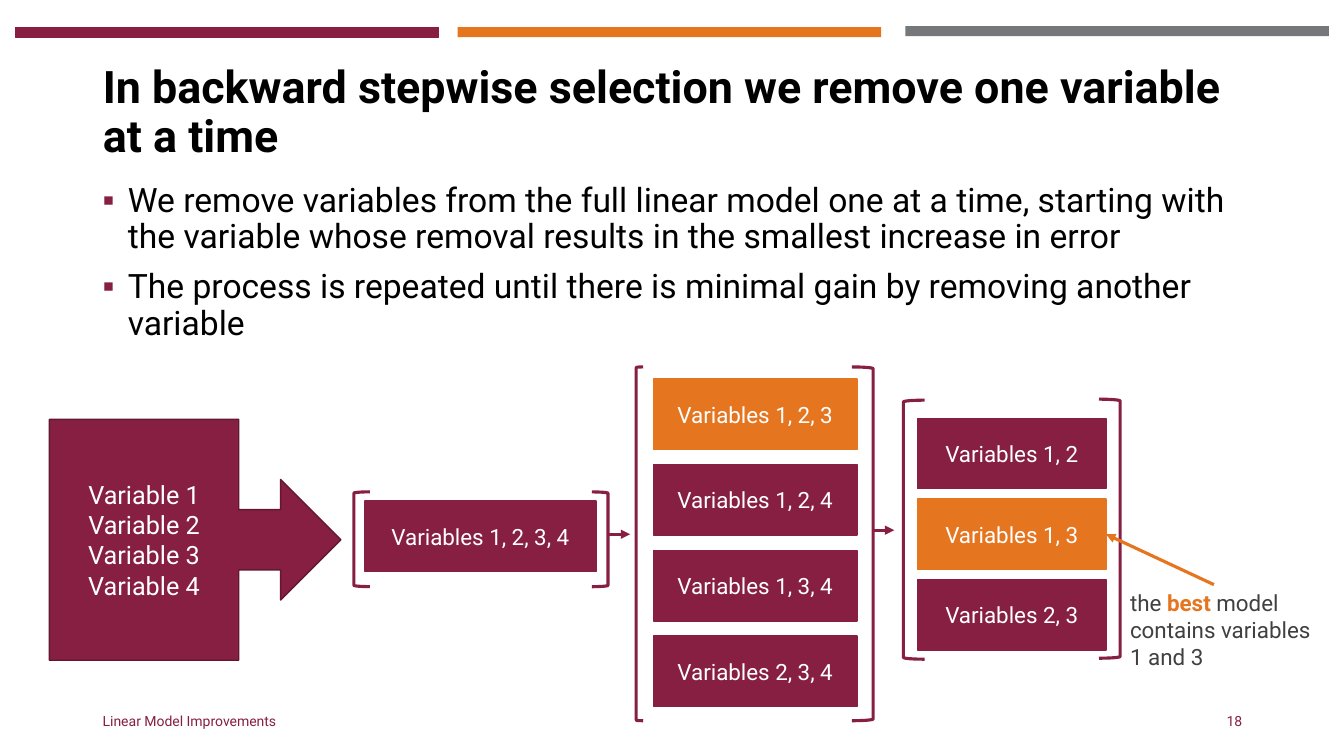
from dataclasses import dataclass

from lxml import etree
from pptx import Presentation
from pptx.dml.color import RGBColor
from pptx.enum.shapes import MSO_CONNECTOR, MSO_SHAPE
from pptx.enum.text import MSO_ANCHOR, MSO_AUTO_SIZE, PP_ALIGN
from pptx.oxml.ns import qn
from pptx.util import Inches, Pt


@dataclass(frozen=True)
class Theme:
    """Colours, font and type sizes of the deck."""
    maroon: str = "861F41"
    dark_maroon: str = "631730"
    orange: str = "E5751F"
    grey: str = "75787B"
    note: str = "404040"
    black: str = "000000"
    white: str = "FFFFFF"
    font: str = "Roboto"
    title: int = 32
    body: int = 24
    callout: int = 18
    label: int = 16
    footer: int = 10


def colour(code):
    """Turn a hex code into a colour."""
    return RGBColor.from_string(code)


def write(para, text, theme, size, color, bold=False):
    """Add one formatted span of text to a paragraph."""
    span = para.add_run()
    span.text = text
    span.font.name = theme.font
    span.font.size = Pt(size)
    span.font.bold = bold
    span.font.color.rgb = colour(color)


class Page:
    """Draws each kind of element on one slide in one style."""

    def __init__(self, slide, theme):
        """Keep the slide and its theme."""
        self.slide = slide
        self.theme = theme

    def fill_text(self, box, paragraphs, size, color, bold=False,
                  align=PP_ALIGN.LEFT, anchor=MSO_ANCHOR.MIDDLE):
        """Write paragraphs into a shape and return its text frame."""
        frame = box.text_frame
        frame.word_wrap = True
        frame.auto_size = MSO_AUTO_SIZE.NONE
        frame.vertical_anchor = anchor
        for index, text in enumerate(paragraphs):
            para = frame.add_paragraph() if index else frame.paragraphs[0]
            para.alignment = align
            write(para, text, self.theme, size, color, bold)
        return frame

    def title(self, text, left, top, width, height):
        """Place and format the title placeholder."""
        box = self.slide.shapes.title
        box.left, box.top = Inches(left), Inches(top)
        box.width, box.height = Inches(width), Inches(height)
        frame = self.fill_text(box, [text], self.theme.title, self.theme.black, bold=True)
        frame.paragraphs[0].line_spacing = 0.9

    def text(self, paragraphs, left, top, width, height, size, color, **style):
        """Add a text box."""
        box = self.slide.shapes.add_textbox(
            Inches(left), Inches(top), Inches(width), Inches(height))
        return self.fill_text(box, paragraphs, size, color, **style)

    def bullets(self, items, left, top, width, height):
        """Add a bulleted list."""
        frame = self.text(items, left, top, width, height, self.theme.body,
                          self.theme.black, anchor=MSO_ANCHOR.TOP)
        for index, para in enumerate(frame.paragraphs):
            para.line_spacing = 0.9
            para.space_before = Pt(10 if index else 0)
            settings = para._p.get_or_add_pPr()
            settings.set("marL", str(Inches(0.25)))
            settings.set("indent", str(-Inches(0.25)))
            tint = etree.SubElement(settings, qn("a:buClr"))
            etree.SubElement(tint, qn("a:srgbClr"), val=self.theme.maroon)
            etree.SubElement(settings, qn("a:buFont"), typeface="Arial")
            etree.SubElement(settings, qn("a:buChar"), char="▪")

    def shape(self, kind, left, top, width, height, fill=None, line=None, weight=1):
        """Add a preset shape."""
        box = self.slide.shapes.add_shape(
            kind, Inches(left), Inches(top), Inches(width), Inches(height))
        box.shadow.inherit = False
        if fill:
            box.fill.solid()
            box.fill.fore_color.rgb = colour(fill)
        else:
            box.fill.background()
        if line:
            box.line.color.rgb = colour(line)
            box.line.width = Pt(weight)
        else:
            box.line.fill.background()
        return box

    def label(self, kind, paragraphs, left, top, width, height, fill, line, size):
        """Add a filled shape with centred white text."""
        box = self.shape(kind, left, top, width, height, fill, line)
        self.fill_text(box, paragraphs, size, self.theme.white, align=PP_ALIGN.CENTER)

    def models(self, names, left, top, width, pitch, best=None):
        """Stack model boxes, the best one in orange."""
        for row, name in enumerate(names):
            fill = self.theme.orange if name == best else self.theme.maroon
            self.label(MSO_SHAPE.RECTANGLE, [f"Variables {name}"], left,
                       top + row * pitch, width, 0.7, fill, fill, self.theme.label)

    def bracket(self, left, top, width, height, rotation=0):
        """Add a square bracket."""
        box = self.shape(MSO_SHAPE.LEFT_BRACKET, left, top, width, height,
                         line=self.theme.maroon, weight=2.25)
        box.rotation = rotation

    def arrow(self, start, end, color):
        """Add a straight arrow."""
        line = self.slide.shapes.add_connector(
            MSO_CONNECTOR.STRAIGHT, *map(Inches, (*start, *end)))
        line.line.color.rgb = colour(color)
        line.line.width = Pt(2.25)
        etree.SubElement(line.line._get_or_add_ln(), qn("a:tailEnd"), type="triangle")
        etree.SubElement(line._element.spPr, qn("a:effectLst"))


def main():
    """Build the slide and save it."""
    theme = Theme()
    deck = Presentation()
    deck.slide_width, deck.slide_height = Inches(13.33), Inches(7.5)
    page = Page(deck.slides.add_slide(deck.slide_layouts[5]), theme)

    for left, top, fill, line in ((0.15, 0.27, theme.maroon, theme.maroon),
                                  (4.54, 0.27, theme.orange, None),
                                  (8.98, 0.26, theme.grey, None)):
        page.shape(MSO_SHAPE.RECTANGLE, left, top, 4.2, 0.1, fill, line, 0.75)

    page.title("In backward stepwise selection we remove one variable at a time",
               0.92, 0.4, 11.5, 1.45)
    page.bullets(["We remove variables from the full linear model one at a time, starting "
                  "with the variable whose removal results in the smallest increase in error",
                  "The process is repeated until there is minimal gain by removing "
                  "another variable"], 0.92, 1.77, 11.5, 1.75)
    page.text(["Linear Model Improvements"], 0.92, 6.95, 4.5, 0.4, theme.footer, theme.maroon)
    page.text(["18"], 9.42, 6.95, 3, 0.4, theme.footer, theme.maroon, align=PP_ALIGN.RIGHT)

    page.label(MSO_SHAPE.RIGHT_ARROW_CALLOUT,
               ["Variable 1 Variable 2 Variable 3", "Variable 4"],
               0.49, 4.16, 2.89, 2.39, theme.maroon, theme.dark_maroon, theme.callout)

    page.models(["1, 2, 3, 4"], 3.62, 4.97, 2.29, 0.85)
    page.models(["1, 2, 3", "1, 2, 4", "1, 3, 4", "2, 3, 4"],
                6.48, 3.76, 2.02, 0.85, best="1, 2, 3")
    page.models(["1, 2", "1, 3", "2, 3"], 9.1, 4.15, 1.87, 0.8, best="1, 3")

    for left, top, width, height, rotation in (
            (3.51, 4.88, 0.16, 0.94, 0), (5.87, 4.88, 0.16, 0.94, 180),
            (6.31, 3.64, 0.07, 3.51, 0), (8.45, 3.64, 0.21, 3.51, 180),
            (8.96, 3.97, 0.21, 2.57, 0), (10.9, 3.96, 0.21, 2.57, 180)):
        page.bracket(left, top, width, height, rotation)

    page.arrow((6.03, 5.3), (6.25, 5.3), theme.maroon)
    page.arrow((8.65, 5.26), (8.87, 5.26), theme.maroon)
    page.arrow((12.04, 5.8), (10.97, 5.3), theme.orange)

    note = page.text(["the "], 11.11, 5.8, 2.11, 0.91, theme.label, theme.note,
                     anchor=MSO_ANCHOR.TOP).paragraphs[0]
    write(note, "best", theme, theme.label, theme.orange, bold=True)
    write(note, " model contains variables 1 and 3", theme, theme.label, theme.note)

    deck.save("out.pptx")


if __name__ == "__main__":
    main()
